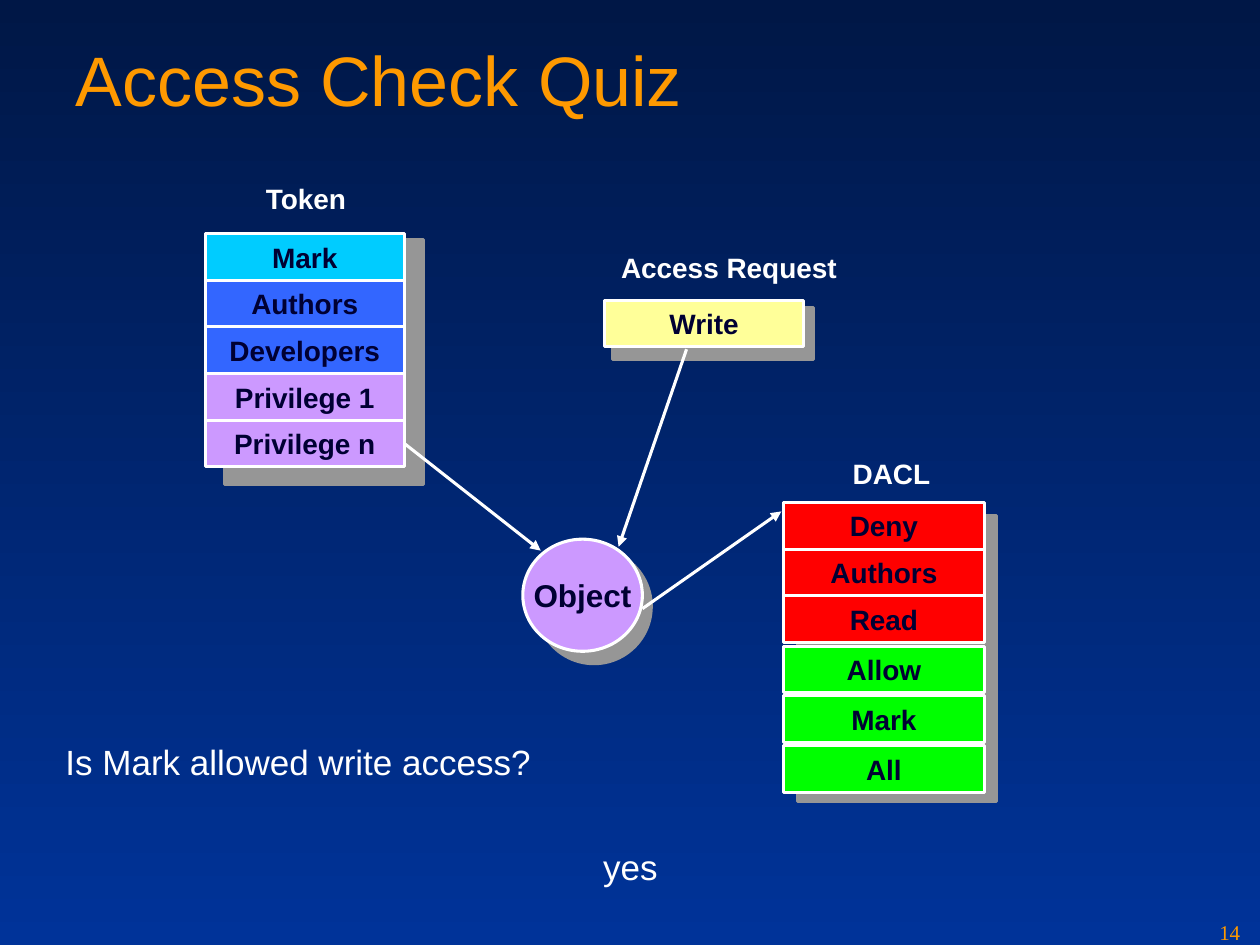
"""Build the access check quiz slide with its token, request, object and DACL."""
from lxml import etree
from pptx import Presentation
from pptx import util as u
from pptx.dml.color import RGBColor
from pptx.enum import shapes, text
from pptx.oxml.ns import qn

NIGHT = RGBColor(0x00, 0x17, 0x46)
NAVY = RGBColor(0x00, 0x33, 0x99)
ORANGE = RGBColor(0xFE, 0x99, 0x00)
WHITE = RGBColor(0xFF, 0xFF, 0xFF)
INK = RGBColor(0x00, 0x00, 0x33)
GREY = RGBColor(0x96, 0x96, 0x96)
CYAN = RGBColor(0x00, 0xCC, 0xFF)
BLUE = RGBColor(0x33, 0x66, 0xFF)
LILAC = RGBColor(0xCC, 0x99, 0xFF)
YELLOW = RGBColor(0xFF, 0xFF, 0x99)
RED = RGBColor(0xFF, 0x00, 0x00)
GREEN = RGBColor(0x00, 0xFF, 0x00)

RECT = shapes.MSO_SHAPE.RECTANGLE
OVAL = shapes.MSO_SHAPE.OVAL
CENTER = text.PP_ALIGN.CENTER
LEFT = text.PP_ALIGN.LEFT
LINE_WIDTH = u.Pt(1.75)
ROW_HEIGHT = 0.94


class Board:
    """Hold the current slide and its style."""

    def __init__(self, slide):
        self.slide = slide
        self.font = "Arial"

    def background(self, top, bottom):
        fill = self.slide.background.fill
        fill.gradient()
        fill.gradient_angle = 270
        for stop, color in zip(fill.gradient_stops, (top, bottom)):
            stop.color.rgb = color

    def add_words(self, s, words, size, color, bold=False, align=LEFT, wrap=True, font=None):
        tf = s.text_frame
        tf.word_wrap = wrap
        tf.auto_size = text.MSO_AUTO_SIZE.NONE
        p = tf.paragraphs[0]
        p.alignment = align
        r = p.add_run()
        r.text = words
        r.font.size = u.Pt(size)
        r.font.name = font or self.font
        r.font.bold = bold
        r.font.color.rgb = color

    def title(self, words, *box):
        s = self.slide.shapes.title
        s.left, s.top, s.width, s.height = map(u.Cm, box)
        s.text_frame.vertical_anchor = text.MSO_ANCHOR.TOP
        self.add_words(s, words, 40, ORANGE)

    def label(self, words, box, size=16, color=WHITE, **style):
        s = self.slide.shapes.add_textbox(*map(u.Cm, box))
        self.add_words(s, words, size, color, **style)

    def shape(self, kind, box, fill, line=WHITE, words="", size=16):
        s = self.slide.shapes.add_shape(kind, *map(u.Cm, box))
        s.shadow.inherit = False
        s.fill.solid()
        s.fill.fore_color.rgb = fill
        s.line.color.rgb = line
        s.line.width = LINE_WIDTH
        if words:
            self.add_words(s, words, size, INK, True, CENTER, wrap=kind == RECT)
        return s

    def stack(self, left, top, width, pitch, rows):
        return [
            self.shape(RECT, (left, top + i * pitch, width, ROW_HEIGHT), fill, words=words)
            for i, (words, fill) in enumerate(rows)
        ]

    def arrow(self, *ends, source=None):
        s = self.slide.shapes.add_connector(shapes.MSO_CONNECTOR.STRAIGHT, *map(u.Cm, ends))
        if source is not None:
            s.begin_connect(source, 3)
        s.line.color.rgb = WHITE
        s.line.width = LINE_WIDTH
        properties = s._element.spPr
        etree.SubElement(properties.find(qn("a:ln")), qn("a:tailEnd"), type="triangle")
        etree.SubElement(properties, qn("a:effectLst"))


def main():
    prs = Presentation()
    prs.slide_width, prs.slide_height = u.Cm(25.4), u.Cm(19.05)
    board = Board(prs.slides.add_slide(prs.slide_layouts[5]))
    board.background(NIGHT, NAVY)
    board.title("Access Check Quiz", 1.27, 0.61, 22.86, 3.18)

    for kind, box in (
        (RECT, (12.34, 6.2, 4.06, 1.04)),
        (RECT, (16.08, 10.39, 4.01, 5.77)),
        (OVAL, (10.82, 11.07, 2.31, 2.31)),
        (RECT, (4.52, 4.83, 4.01, 4.93)),
    ):
        board.shape(kind, box, GREY, GREY)

    board.shape(OVAL, (10.54, 10.87, 2.41, 2.26), LILAC, words="Object", size=18)
    board.stack(15.8, 10.13, 4.04, 0.94, [("Deny", RED), ("Authors", RED), ("Read", RED)])
    board.stack(15.8, 13.03, 4.04, 1, [("Allow", GREEN), ("Mark", GREEN), ("All", GREEN)])
    token = board.stack(4.14, 4.71, 4.01, 0.94, [
        ("Mark", CYAN),
        ("Authors", BLUE),
        ("Developers", BLUE),
        ("Privilege 1", LILAC),
        ("Privilege n", LILAC),
    ])
    board.stack(12.19, 6.05, 4.01, 0.94, [("Write", YELLOW)])

    board.arrow(8.15, 8.94, 10.9, 11.1, source=token[-1])
    board.arrow(13.84, 7.04, 12.47, 11.02)
    board.arrow(12.95, 12.27, 15.75, 10.31)

    for words, box in (
        ("Token", (5.11, 3.53, 2.16, 0.94)),
        ("DACL", (16.94, 9.07, 2.06, 0.94)),
        ("Access Request", (12.27, 4.93, 4.85, 0.94)),
    ):
        board.label(words, box, bold=True, wrap=False)
    board.label("Is Mark allowed write access?", (1.07, 14.81, 12.27, 1.12), 20)
    board.label("yes", (11.91, 16.92, 2.9, 1.12), 20)
    board.label("14", (24.33, 18.42, 1.07, 0.63), 12, ORANGE, font="Times New Roman")
    prs.save("out.pptx")


if __name__ == "__main__":
    main()
